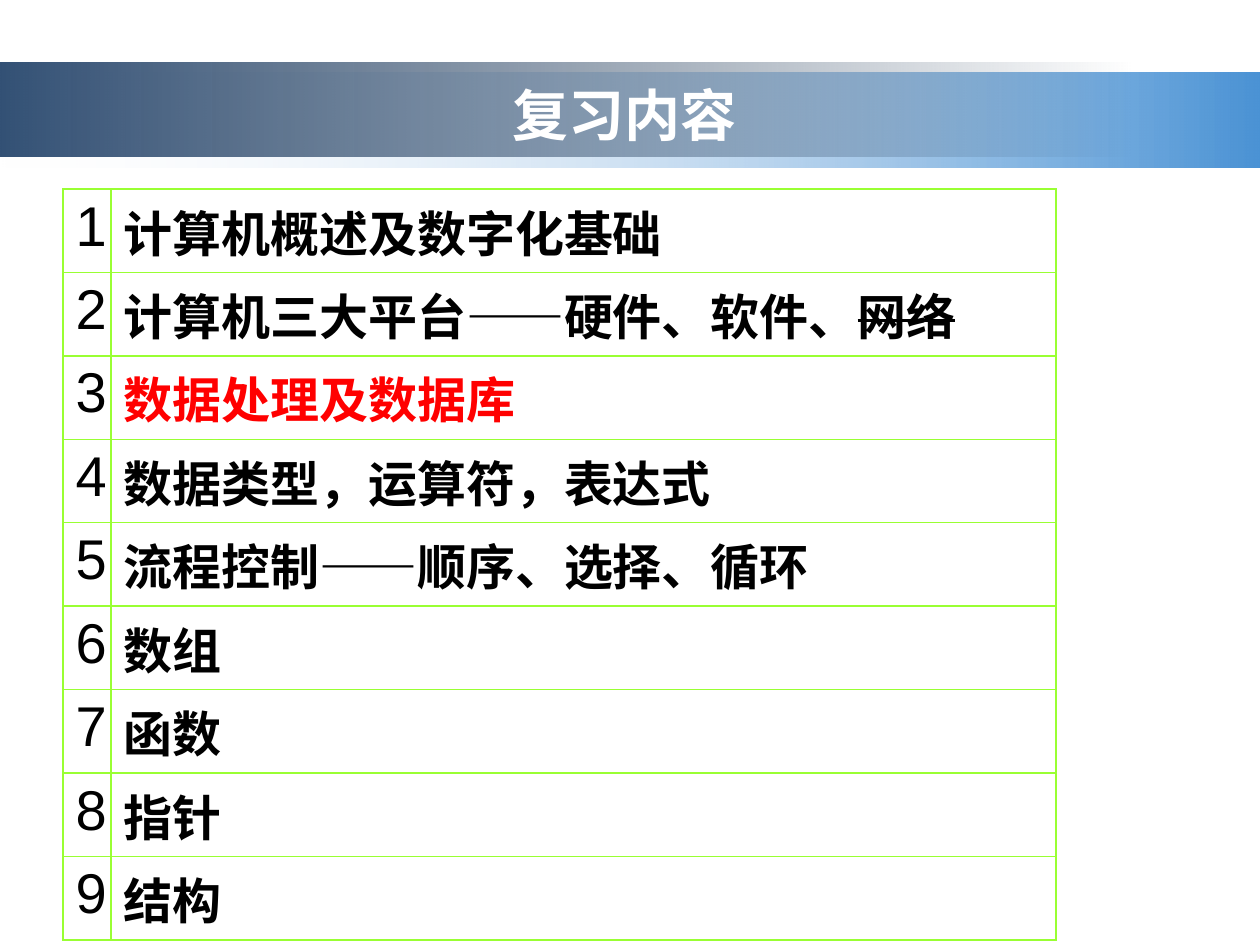
from dataclasses import dataclass

from lxml import etree
from pptx import Presentation
from pptx.dml.color import RGBColor
from pptx.enum.shapes import MSO_SHAPE
from pptx.enum.text import MSO_ANCHOR, PP_ALIGN
from pptx.oxml.ns import qn
from pptx.util import Cm, Pt

RECTANGLE = MSO_SHAPE.RECTANGLE
LEFT, CENTER = PP_ALIGN.LEFT, PP_ALIGN.CENTER
MIDDLE = MSO_ANCHOR.MIDDLE

WHITE = RGBColor(0xFF, 0xFF, 0xFF)
BLACK = RGBColor(0x00, 0x00, 0x00)
RED = RGBColor(0xFF, 0x00, 0x00)
GREEN = RGBColor(0x99, 0xFF, 0x33)
PALE = RGBColor(0xF1, 0xF5, 0xFA)
SKY = RGBColor(0x4B, 0x93, 0xD5)
NAVY = RGBColor(0x33, 0x51, 0x75)
DARK_NAVY = RGBColor(0x24, 0x3A, 0x54)

LATIN_FONT = "Arial"
CHINESE_FONT = "Noto Sans CJK SC"


@dataclass
class Band:
    top: float
    width: float
    start: RGBColor
    end: RGBColor
    clear_stop: int


@dataclass
class Topic:
    text: str
    struck: str = ""
    color: RGBColor = BLACK


BANDS = [
    Band(1.47, 25.4, PALE, SKY, clear_stop=0),
    Band(1.26, 22.86, NAVY, DARK_NAVY, clear_stop=1),
]

TOPICS = [
    Topic("计算机概述及数字化基础"),
    Topic("计算机三大平台——硬件、软件、", struck="网络"),
    Topic("数据处理及数据库", color=RED),
    Topic("数据类型，运算符，表达式"),
    Topic("流程控制——顺序、选择、循环"),
    Topic("数组"),
    Topic("函数"),
    Topic("指针"),
    Topic("结构"),
]


def add_text(paragraph, text: str, *, size: float, color: RGBColor = BLACK,
             bold: bool = False, strike: bool = False,
             font: str = LATIN_FONT, align=LEFT) -> None:
    paragraph.alignment = align
    run = paragraph.add_run()
    run.text = text
    run.font.size = Pt(size)
    run.font.bold = bold
    run.font.color.rgb = color
    run.font.name = font
    properties = run._r.get_or_add_rPr()
    etree.SubElement(properties, qn("a:ea"), typeface=CHINESE_FONT)
    if strike:
        properties.set("strike", "sngStrike")


def add_band(slide, band: Band) -> None:
    """Draw a horizontal gradient that fades out at its clear stop."""
    shape = slide.shapes.add_shape(
        RECTANGLE, 0, Cm(band.top), Cm(band.width), Cm(1.9))
    shape.shadow.inherit = False
    shape.line.fill.background()
    shape.fill.gradient()
    shape.fill.gradient_angle = 0
    for stop, color in zip(shape.fill.gradient_stops, (band.start, band.end)):
        stop.color.rgb = color
    stop_colors = list(shape.element.iter(qn("a:srgbClr")))
    etree.SubElement(stop_colors[band.clear_stop], qn("a:alpha"), val="0")


def format_cell(cell) -> None:
    """Give a cell green borders and a white fill."""
    properties = cell._tc.get_or_add_tcPr()
    for side in ("lnL", "lnR", "lnT", "lnB"):
        border = etree.SubElement(properties, qn(f"a:{side}"), w=str(Pt(1)))
        fill = etree.SubElement(border, qn("a:solidFill"))
        etree.SubElement(fill, qn("a:srgbClr"), val=str(GREEN))
    cell.fill.solid()
    cell.fill.fore_color.rgb = WHITE


def add_topic_table(slide, topics: list[Topic]) -> None:
    row_height = Cm(1.6)
    table = slide.shapes.add_table(
        len(topics), 2, Cm(1.27), Cm(3.81), Cm(20.02),
        row_height * len(topics)).table
    table.first_row = table.horz_banding = False
    table.columns[0].width = Cm(0.97)
    table.columns[1].width = Cm(19.05)

    for number, (row, topic) in enumerate(zip(table.rows, topics), start=1):
        number_cell, topic_cell = row.cells
        for cell in (number_cell, topic_cell):
            format_cell(cell)
        add_text(number_cell.text_frame.paragraphs[0], str(number),
                 size=32, align=CENTER)
        paragraph = topic_cell.text_frame.paragraphs[0]
        add_text(paragraph, topic.text, size=28, bold=True, color=topic.color)
        if topic.struck:
            add_text(paragraph, topic.struck, size=28, bold=True,
                     color=topic.color, strike=True)


def place_title(slide, text: str) -> None:
    """Fill the title placeholder and bring it in front of the bands."""
    title = slide.shapes.title
    title.left, title.top = Cm(2.34), Cm(1.52)
    title.width, title.height = Cm(20.52), Cm(1.57)
    title.text_frame.vertical_anchor = MIDDLE
    add_text(title.text_frame.paragraphs[0], text, size=32, bold=True,
             color=WHITE, font=CHINESE_FONT, align=CENTER)
    title.element.getparent().append(title.element)


def main() -> None:
    presentation = Presentation()
    presentation.slide_width, presentation.slide_height = Cm(25.4), Cm(19.05)
    title_only = presentation.slide_layouts[5]
    slide = presentation.slides.add_slide(title_only)
    for band in BANDS:
        add_band(slide, band)
    add_topic_table(slide, TOPICS)
    place_title(slide, "复习内容")
    presentation.save("out.pptx")


if __name__ == "__main__":
    main()
